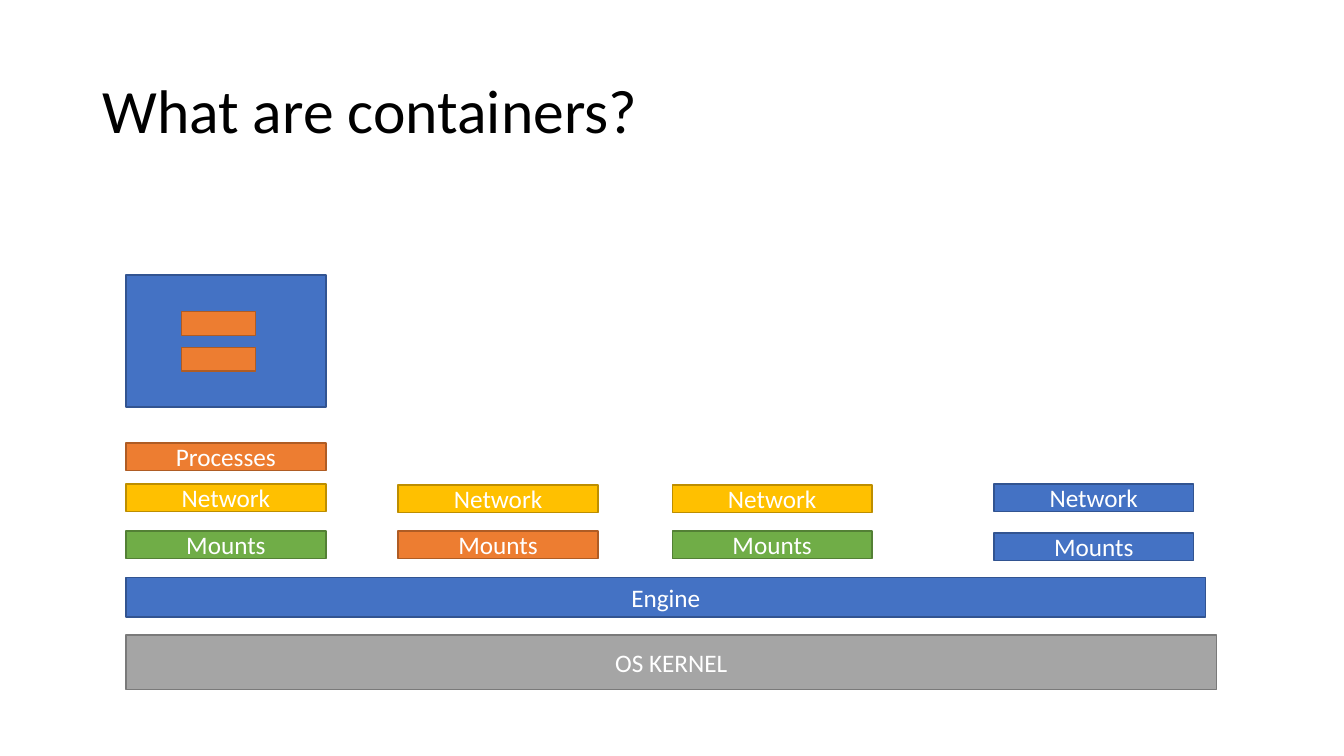
from dataclasses import dataclass

from pptx import Presentation
from pptx.dml.color import RGBColor
from pptx.enum.shapes import MSO_SHAPE
from pptx.enum.text import MSO_ANCHOR, PP_ALIGN
from pptx.slide import Slide
from pptx.text.text import TextFrame
from pptx.util import Pt

RECT = MSO_SHAPE.RECTANGLE
EQUAL = MSO_SHAPE.MATH_EQUAL
MIDDLE = MSO_ANCHOR.MIDDLE
LEFT = PP_ALIGN.LEFT
CENTER = PP_ALIGN.CENTER

FONT = "Calibri"
FILL = {
    "blue": "4472C4",
    "orange": "ED7D31",
    "gold": "FFC000",
    "green": "70AD47",
    "gray": "A5A5A5",
}
EDGE = {
    "blue": "325491",
    "orange": "AF5C24",
    "gold": "BD8E00",
    "green": "538035",
    "gray": "7A7A7A",
}
TEXT = {"title": "000000", "label": "FFFFFF"}

START = 90
WIDE = 142.8
HIGH = 19.6
COLS = (START, 284.4, 480.2, 709.9)


@dataclass(frozen=True)
class Box:
    left: float
    top: float
    width: float
    height: float
    tint: str
    label: str = ""
    kind: MSO_SHAPE = RECT


@dataclass(frozen=True)
class Row:
    label: str
    tops: tuple[float, ...]
    tints: tuple[str, ...]


ROWS = (
    Row("Processes", (316.5,), ("orange",)),
    Row("Network", (345.6, 346.3, 346.3, 345.6), ("gold", "gold", "gold", "blue")),
    Row("Mounts", (379.4, 379.4, 379.4, 380.7), ("green", "orange", "green", "blue")),
)


def write(frame: TextFrame, text: str, size: float, color: str, align: PP_ALIGN) -> None:
    frame.word_wrap = True
    frame.vertical_anchor = MIDDLE
    para = frame.paragraphs[0]
    para.alignment = align
    run = para.add_run()
    run.text = text
    run.font.name = FONT
    run.font.size = Pt(size)
    run.font.color.rgb = RGBColor.from_string(color)


def draw(slide: Slide, box: Box) -> None:
    shape = slide.shapes.add_shape(
        box.kind, Pt(box.left), Pt(box.top), Pt(box.width), Pt(box.height)
    )
    shape.shadow.inherit = False
    shape.fill.solid()
    shape.fill.fore_color.rgb = RGBColor.from_string(FILL[box.tint])
    shape.line.color.rgb = RGBColor.from_string(EDGE[box.tint])
    shape.line.width = Pt(1)
    if box.label:
        write(shape.text_frame, box.label, 18, TEXT["label"], CENTER)


def head(slide: Slide, text: str) -> None:
    title = slide.shapes.title
    title.left, title.top = Pt(66), Pt(28.8)
    title.width, title.height = Pt(828), Pt(104.4)
    write(title.text_frame, text, 44, TEXT["title"], LEFT)
    title.text_frame.paragraphs[0].line_spacing = 0.9


def main() -> None:
    deck = Presentation()
    deck.slide_width, deck.slide_height = Pt(960), Pt(540)
    slide = deck.slides.add_slide(deck.slide_layouts[5])
    head(slide, "What are containers?")

    host = (
        Box(START, 196.3, WIDE, 94.3, "blue"),
        Box(120.2, 207.8, 72, 72, "orange", kind=EQUAL),
    )
    cells = tuple(
        Box(left, top, WIDE, HIGH, tint, row.label)
        for row in ROWS
        for left, top, tint in zip(COLS, row.tops, row.tints)
    )
    base = (
        Box(START, 453.6, 779, 38.9, "gray", "OS KERNEL"),
        Box(START, 412.6, 771.1, 28.1, "blue", "Engine"),
    )
    for box in host + cells + base:
        draw(slide, box)
    deck.save("out.pptx")


if __name__ == "__main__":
    main()
